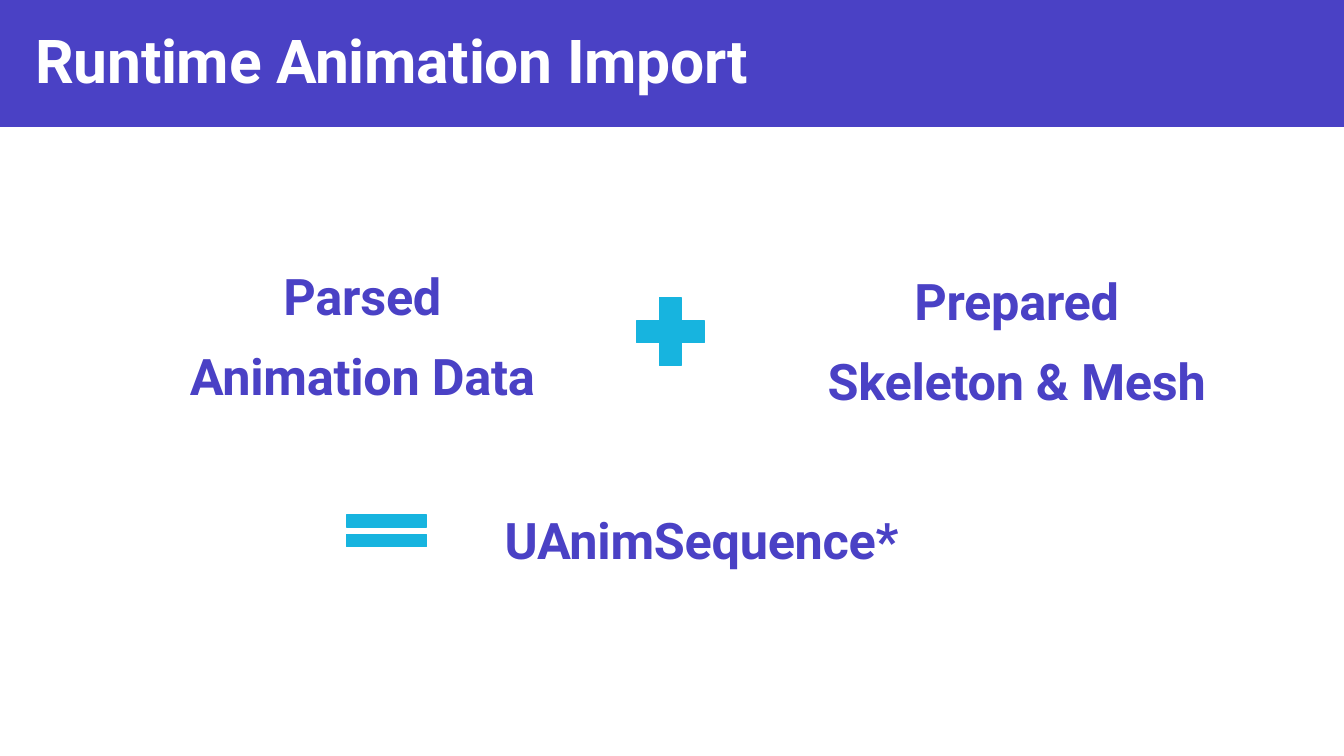
import dataclasses

import pptx
import pptx.dml.color
import pptx.enum.shapes
import pptx.enum.text
import pptx.util

ALIGN = pptx.enum.text.PP_ALIGN
SHAPE = pptx.enum.shapes.MSO_SHAPE
COLUMNS, ROWS = 160, 90


@dataclasses.dataclass(frozen=True)
class Theme:
    """Colours, font and type sizes of the deck."""
    indigo: str = "4A41C5"
    cyan: str = "17B4DF"
    white: str = "FFFFFF"
    font: str = "Roboto"
    title_size: float = 43.2
    term_size: float = 36
    tracking: int = -20
    line_spacing: float = 1.1
    space_before: float = 10


THEME = Theme()


def rgb(value):
    """Return a colour object for a hex string."""
    return pptx.dml.color.RGBColor.from_string(value)


def grid_box(prs, col, row, cols, rows):
    """Turn grid columns and rows into left, top, width and height."""
    dx, dy = prs.slide_width / COLUMNS, prs.slide_height / ROWS
    return [round(v) for v in (col * dx, row * dy, cols * dx, rows * dy)]


def add_text(p, text, size, color):
    """Add one bold run in the theme font."""
    r = p.add_run()
    r.text = text
    r.font.name = THEME.font
    r.font.size = pptx.util.Pt(size)
    r.font.bold = True
    r.font.color.rgb = rgb(color)
    r._r.get_or_add_rPr().set("spc", str(THEME.tracking))


def add_solid(s, kind, box, color):
    """Add a preset shape in one flat colour."""
    sp = s.shapes.add_shape(kind, *box)
    sp.shadow.inherit = False
    sp.fill.solid()
    sp.fill.fore_color.rgb = rgb(color)
    sp.line.fill.background()
    return sp


def add_header(s, box, title):
    """Fill the header box and set the title inside it."""
    left, top, width, height = box
    band = add_solid(s, SHAPE.RECTANGLE, box, THEME.indigo)
    s.shapes._spTree.insert(2, band._element)
    sp = s.shapes.title
    sp.left, sp.top = left + round(width * 0.019), top + round(height * 0.135)
    sp.width, sp.height = round(width * 0.77), round(height * 0.67)
    tf = sp.text_frame
    tf.word_wrap = True
    tf.auto_size = pptx.enum.text.MSO_AUTO_SIZE.NONE
    tf.vertical_anchor = pptx.enum.text.MSO_ANCHOR.MIDDLE
    p = tf.paragraphs[0]
    p.alignment = ALIGN.LEFT
    add_text(p, title, THEME.title_size, THEME.white)


def add_term(s, box, lines, align=ALIGN.CENTER):
    """Write one term of the equation, a paragraph per line."""
    tf = s.shapes.add_textbox(*box).text_frame
    tf.word_wrap = True
    for i, line in enumerate(lines):
        p = tf.add_paragraph() if i else tf.paragraphs[0]
        p.alignment = align
        p.line_spacing = THEME.line_spacing
        p.space_before = pptx.util.Pt(THEME.space_before if i else 0)
        add_text(p, line, THEME.term_size, THEME.indigo)


def add_operator(s, kind, box, adjustments=()):
    """Draw a mathematical sign with a thin outline."""
    sp = add_solid(s, kind, box, THEME.cyan)
    sp.line.color.rgb = rgb(THEME.cyan)
    sp.line.width = pptx.util.Pt(1)
    for i, value in enumerate(adjustments):
        sp.adjustments[i] = value


def build_equation_slide(prs):
    """Build the slide that adds two inputs into one result."""
    s = prs.slides.add_slide(prs.slide_layouts[5])
    add_header(s, grid_box(prs, 0, 0, COLUMNS, 15.1), "Runtime Animation Import")
    add_term(s, grid_box(prs, 13.7, 30.2, 58.9, 18.7), ["Parsed", "Animation Data"])
    add_operator(s, SHAPE.MATH_PLUS, grid_box(prs, 74.3, 34, 11, 11))
    add_term(s, grid_box(prs, 85.3, 30.8, 71.5, 20.2), ["Prepared", "Skeleton & Mesh"])
    add_operator(s, SHAPE.MATH_EQUAL, grid_box(prs, 39.5, 59.3, 13, 7.8), (0.18, 0.12))
    add_term(s, grid_box(prs, 58.9, 59.3, 63.2, 11.3), ["UAnimSequence*"], ALIGN.LEFT)


def main():
    """Create the deck and save it."""
    prs = pptx.Presentation()
    prs.slide_width = pptx.util.Inches(13.33)
    prs.slide_height = pptx.util.Inches(7.5)
    build_equation_slide(prs)
    prs.save("out.pptx")


if __name__ == "__main__":
    main()
